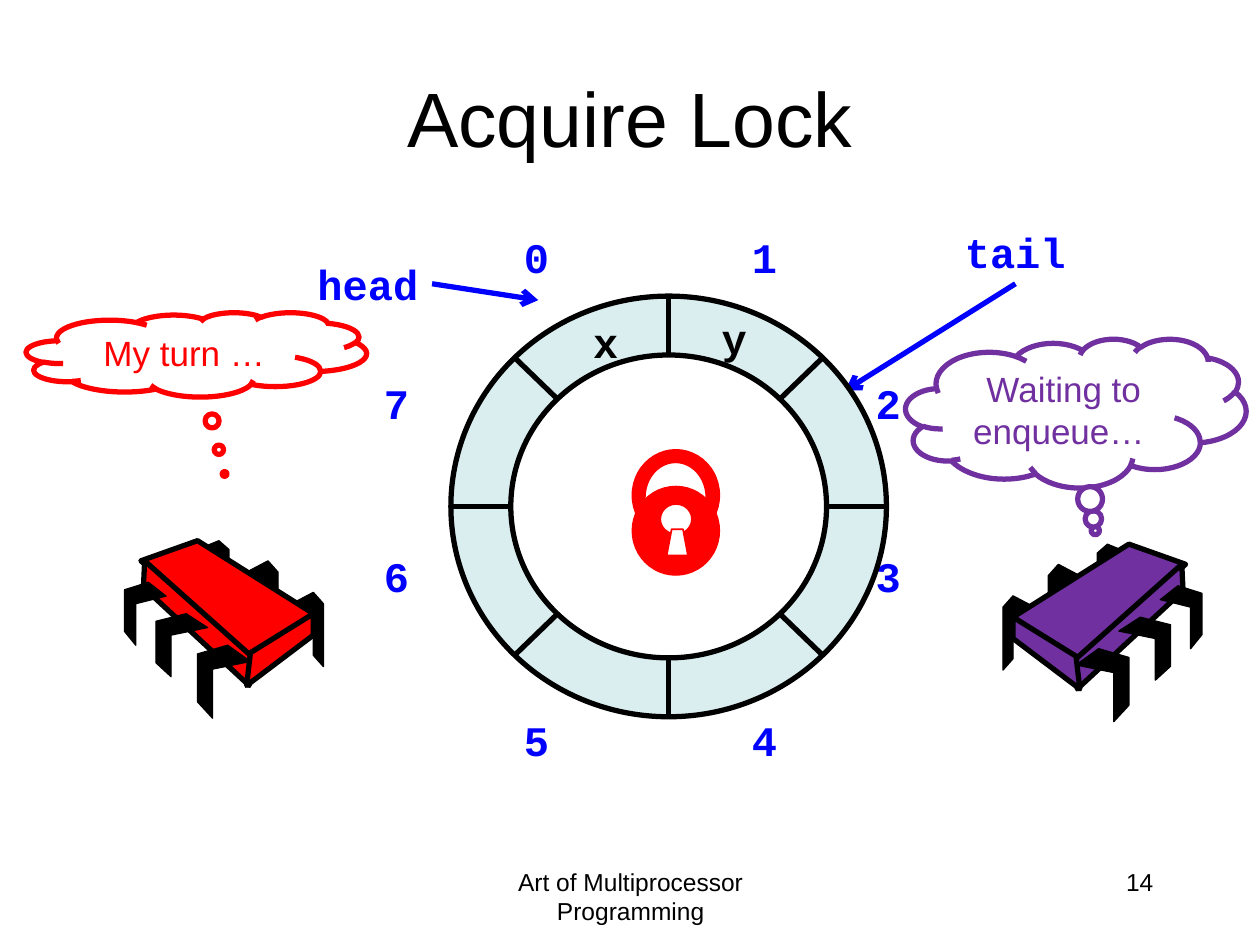
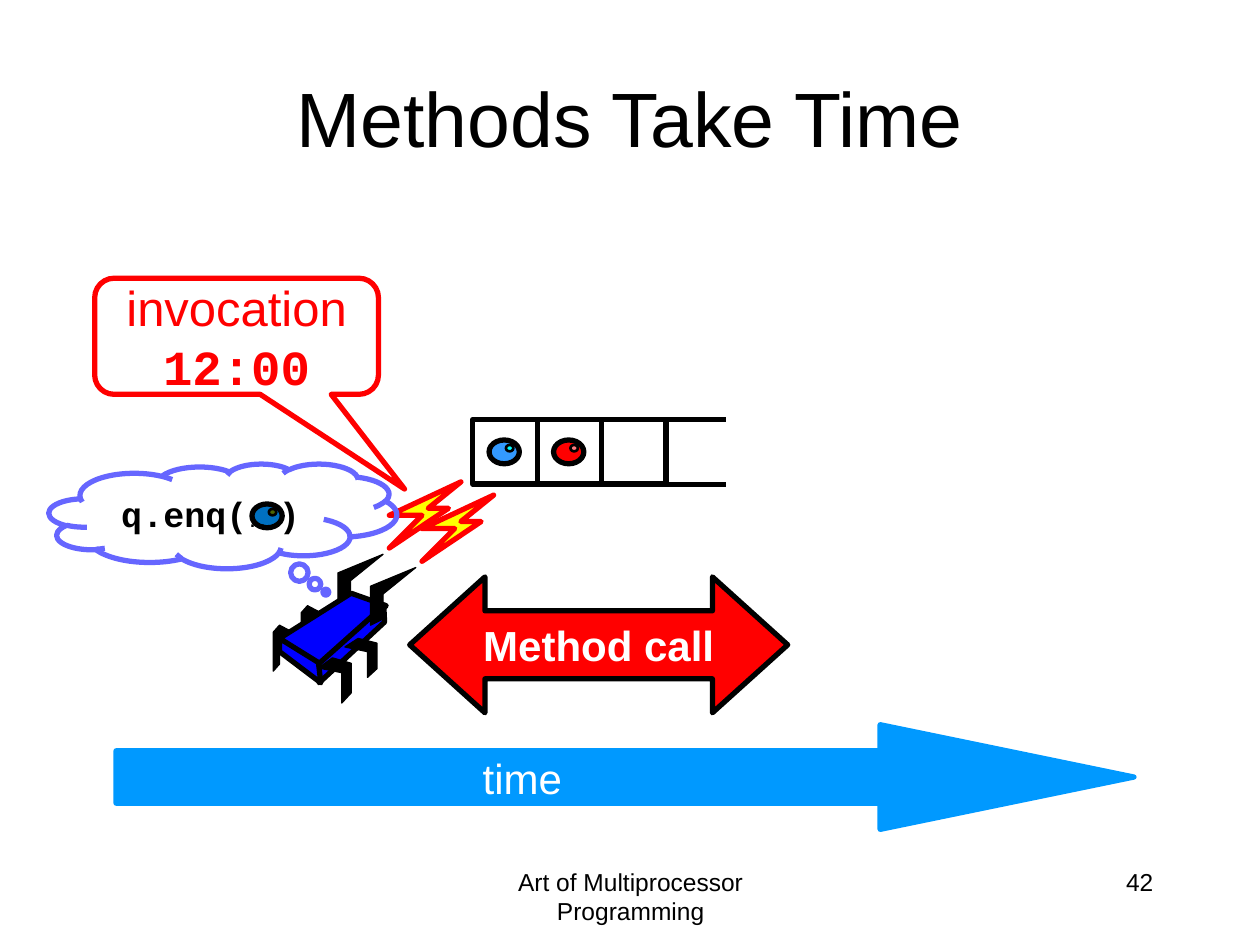
from math import cos, pi, sin

from lxml.etree import SubElement
from pptx import Presentation
from pptx.dml.color import RGBColor
from pptx.enum.shapes import MSO_CONNECTOR, MSO_SHAPE
from pptx.enum.text import MSO_ANCHOR, PP_ALIGN
from pptx.oxml.ns import qn
from pptx.util import Cm, Pt

COLORS = {
    "black": "000000", "white": "FFFFFF", "blue": "0000FF", "red": "FF0000",
    "purple": "7030A0", "ring": "DAEDEF", "violet": "6666FF", "bolt": "FFFF00",
    "time": "0099FF", "sky": "3399FF", "cyan": "00FFFF", "pink": "FF7C80",
    "ocean": "0070C0", "olive": "4C6600",
}
SANS, MONO = "Arial", "Courier New"
FOOTER = "Art of Multiprocessor Programming"

# Thread bug, drawn on a grid 158 units wide, facing up and to the right
BUG_GRID = 158
LONG_LEG = [(25, 50), (8, 41), (0, 50), (0, 100), (8, 91), (8, 58), (25, 66)]
SHORT_LEG = [(100, 7), (83, 0), (75, 7), (75, 50), (83, 43), (83, 14), (100, 21)]
BODY = [
    [(100, 0), (8, 58), (59, 93), (145, 16)],
    [(142, 16), (58, 91), (59, 115), (143, 37)],
    [(8, 58), (8, 75), (61, 115), (58, 89)],
]
NEAR_LEGS = [
    [(76, 83), (58, 96), (88, 102), (88, 141), (100, 128), (100, 90)],
    [(109, 58), (92, 69), (121, 75), (121, 108), (133, 97), (133, 64)],
    [(139, 33), (125, 44), (149, 50), (149, 83), (158, 72), (158, 39)],
]
ARM = [(83, 24), (99, 16), (99, -16), (141, -50), (83, -26)]
BOLT = [(149, -58), (191, -100), (149, -100), (241, -143), (199, -109), (225, -109)]
ARM_STEP = (42, 17)


def rgb(name):
    return RGBColor.from_string(COLORS[name])


def shift(points, step):
    return [(x + step[0], y + step[1]) for x, y in points]


def paint(shape, fill, line, weight):
    shape.shadow.inherit = False
    if fill:
        shape.fill.solid()
        shape.fill.fore_color.rgb = rgb(fill)
    else:
        shape.fill.background()
    shape.line.color.rgb = rgb(line)
    shape.line.width = Pt(weight)
    return shape


def write(shape, runs, color, align=PP_ALIGN.CENTER, anchor=MSO_ANCHOR.TOP, wrap=True):
    """Fill a shape with one paragraph of (text, font, size, bold) runs."""
    frame = shape.text_frame
    frame.word_wrap = wrap
    frame.vertical_anchor = anchor
    paragraph = frame.paragraphs[0]
    paragraph.alignment = align
    for text, font, size, bold in runs:
        run = paragraph.add_run()
        run.text = text
        run.font.name = font
        run.font.size = Pt(size)
        run.font.bold = bold
        run.font.color.rgb = rgb(color)


def add_text(slide, box, text, font, size, color="black", bold=False, **layout):
    textbox = slide.shapes.add_textbox(*map(Cm, box))
    write(textbox, [(text, font, size, bold)], color, **layout)


def add_label(slide, left, top, text, width=1.04, color="blue"):
    add_text(slide, (left, top, width, 1.27), text, MONO, 24, color, True,
             align=PP_ALIGN.LEFT, wrap=False)


def add_preset(slide, kind, box, fill, line, weight=3, adjust=()):
    shape = slide.shapes.add_shape(kind, *map(Cm, box))
    for index, value in enumerate(adjust):
        shape.adjustments[index] = value
    return paint(shape, fill, line, weight)


def add_outline(slide, points, fill, line="black", weight=3):
    corners = [(Cm(x), Cm(y)) for x, y in points]
    builder = slide.shapes.build_freeform(*corners[0])
    builder.add_line_segments(corners[1:], close=True)
    return paint(builder.convert_to_shape(), fill, line, weight)


def add_line(slide, start, end, color="black", arrow=False):
    connector = slide.shapes.add_connector(
        MSO_CONNECTOR.STRAIGHT, *map(Cm, (*start, *end)))
    connector.line.color.rgb = rgb(color)
    connector.line.width = Pt(3)
    if arrow:
        SubElement(connector.line._get_or_add_ln(), qn("a:tailEnd"), type="arrow")
    SubElement(connector._element.spPr, qn("a:effectLst"))


def add_frame(deck, title, number):
    """Add a slide with the shared title and footer."""
    slide = deck.slides.add_slide(deck.slide_layouts[6])
    add_text(slide, (8.69, 17.35, 8.05, 1.27), FOOTER, SANS, 14)
    add_text(slide, (18.21, 17.35, 5.29, 1.27), number, SANS, 14, align=PP_ALIGN.RIGHT)
    add_text(slide, (1.27, 0.76, 22.86, 3.18), title, SANS, 44, anchor=MSO_ANCHOR.MIDDLE)
    return slide


def add_bug(slide, left, top, width, color, mirrored=False, signalling=False):
    """Draw a thread; when signalling, its front legs are raised under bolts."""
    scale = width / BUG_GRID

    def place(points):
        return [(left + (BUG_GRID - x if mirrored else x) * scale, top + y * scale)
                for x, y in points]

    def limb(points):
        add_outline(slide, place(points), "black", weight=0.75)

    def bolt(points):
        add_outline(slide, place(points), "bolt", "red")

    if signalling:
        bolt(BOLT)
    far_front = ARM if signalling else SHORT_LEG
    near_front = shift(ARM, ARM_STEP) if signalling else NEAR_LEGS[2]
    for points in (LONG_LEG, shift(LONG_LEG, (36, -25)), far_front):
        limb(points)
    for points in BODY:
        add_outline(slide, place(points), color)
    for points in (*NEAR_LEGS[:2], near_front):
        limb(points)
    if signalling:
        bolt(shift(BOLT, ARM_STEP))


def add_thought(slide, box, runs, color, tail, fill="white", text_color=None,
                anchor=MSO_ANCHOR.TOP):
    cloud = add_preset(slide, MSO_SHAPE.CLOUD_CALLOUT, box, fill, color, adjust=tail)
    write(cloud, runs, text_color or color, anchor=anchor)


def add_ring(slide, left, top, width, height):
    """Draw the circular buffer with its slot numbers and items."""
    slots = [(1.22, -1.42), (5.82, -1.42), (8.31, 1.52), (8.31, 5),
             (5.82, 8.31), (1.22, 8.31), (-1.6, 5), (-1.6, 1.52)]
    for number, (x, y) in enumerate(slots):
        add_label(slide, left + x, top + y, str(number))

    add_preset(slide, MSO_SHAPE.OVAL, (left, top, width, height), "ring", "black")
    middle_x, middle_y = left + width / 2, top + height / 2
    for eighth in range(4):
        dx = width / 2 * cos(eighth * pi / 4)
        dy = height / 2 * sin(eighth * pi / 4)
        add_line(slide, (middle_x - dx, middle_y - dy), (middle_x + dx, middle_y + dy))
    hole_w, hole_h = 0.725 * width, 0.72 * height
    hole = (middle_x - hole_w / 2, middle_y - hole_h / 2, hole_w, hole_h)
    add_preset(slide, MSO_SHAPE.OVAL, hole, "white", "black")

    for item, x, y in (("y", 5.21, 0.2), ("x", 2.62, 0.28)):
        add_label(slide, left + x, top + y, item, color="black")


def add_lock(slide, left, top):
    ovals = [
        ((0, 0, 1.75, 1.83), "red"),
        ((0.25, 0.25, 1.24, 1.42), "white"),
        ((0, 0.74, 1.75, 1.78), "red"),
        ((0.56, 1.09, 0.64, 0.61), "white"),
    ]
    for (x, y, width, height), fill in ovals:
        add_preset(slide, MSO_SHAPE.OVAL, (left + x, top + y, width, height),
                   fill, "red", 1)
    slot = [(0.69, 2.13), (0.79, 1.6), (1.02, 1.6), (1.12, 2.13)]
    add_outline(slide, shift(slot, (left, top)), "white", "red", 1)


def add_item(slide, left, top, color, glint):
    """Draw a queued object: a ball with a small highlight."""
    add_preset(slide, MSO_SHAPE.OVAL, (left, top, 0.61, 0.48), color, "black")
    add_preset(slide, MSO_SHAPE.OVAL, (left + 0.34, top + 0.1, 0.15, 0.13),
               glint, "black", 1.5)


def add_queue(slide, left, top, cell):
    for index in range(3):
        add_preset(slide, MSO_SHAPE.RECTANGLE,
                   (left + index * cell, top, cell, cell), None, "black")
    for y in (top, top + cell):
        add_line(slide, (left + 2.92 * cell, y), (left + 3.92 * cell, y))
    for index, colors in enumerate((("sky", "cyan"), ("red", "pink"))):
        add_item(slide, left + index * cell + 0.33, top + 0.41, *colors)


def add_time_arrow(slide, left, top, width, height):
    add_preset(slide, MSO_SHAPE.RIGHT_ARROW, (left, top, width, height),
               "time", "time", adjust=(0.5, 2.425))
    add_text(slide, (left + 7.11, top + 0.43, 2.13, 1.3), "time", SANS, 24, "white",
             align=PP_ALIGN.RIGHT, wrap=False)


def build_acquire_lock(deck):
    slide = add_frame(deck, "Acquire Lock", "14")
    add_label(slide, 6.15, 5.08, "head", 2.59)
    add_line(slide, (8.71, 5.72), (10.85, 6.05), "blue", arrow=True)
    add_label(slide, 19.2, 4.45, "tail", 2.59)
    add_line(slide, (20.47, 5.72), (17.04, 7.87), "blue", arrow=True)
    add_bug(slide, 2.51, 10.9, 4.01, "red", mirrored=True)
    add_bug(slide, 20.22, 10.97, 4.01, "purple")
    add_thought(slide, (18.26, 6.83, 6.86, 3),
                [("Waiting to enqueue… ", SANS, 20, False)], "purple", (0.057, 0.789))
    add_thought(slide, (0.53, 6.3, 6.86, 1.7),
                [("My turn …", SANS, 20, False)], "red", (0.083, 1.415))
    add_ring(slide, 9.09, 5.97, 8.78, 8.48)
    add_lock(slide, 12.75, 9.07)


def build_methods_take_time(deck):
    slide = add_frame(deck, "Methods Take Time", "42")
    add_queue(slide, 9.53, 8.46, 1.3)

    call = add_preset(slide, MSO_SHAPE.LEFT_RIGHT_ARROW, (8.26, 11.63, 7.62, 2.74),
                      "red", "black", adjust=(0.5, 0.554))
    write(call, [("Method call", SANS, 24, True)], "white",
          anchor=MSO_ANCHOR.MIDDLE, wrap=False)

    invocation = add_preset(slide, MSO_SHAPE.ROUNDED_RECTANGULAR_CALLOUT,
                            (1.91, 5.61, 5.72, 2.34), None, "red",
                            adjust=(0.592, 1.316, 0.167))
    write(invocation, [("invocation ", SANS, 28, False), ("12:00", MONO, 28, True)],
          "red", anchor=MSO_ANCHOR.MIDDLE)

    add_bug(slide, 5.51, 11.96, 2.48, "blue", signalling=True)
    add_item(slide, 5.08, 10.16, "ocean", "olive")
    add_time_arrow(slide, 2.34, 14.61, 20.52, 2.11)
    add_thought(slide, (0.99, 9.35, 7.01, 2.11),
                [("q.enq(", MONO, 20, True), ("...", MONO, 10, True),
                 (")", MONO, 20, True)],
                "violet", (0.296, 0.727), fill=None, text_color="black",
                anchor=MSO_ANCHOR.MIDDLE)


def main():
    deck = Presentation()
    deck.slide_width, deck.slide_height = Cm(25.4), Cm(19.05)
    build_acquire_lock(deck)
    build_methods_take_time(deck)
    deck.save("out.pptx")


if __name__ == "__main__":
    main()
